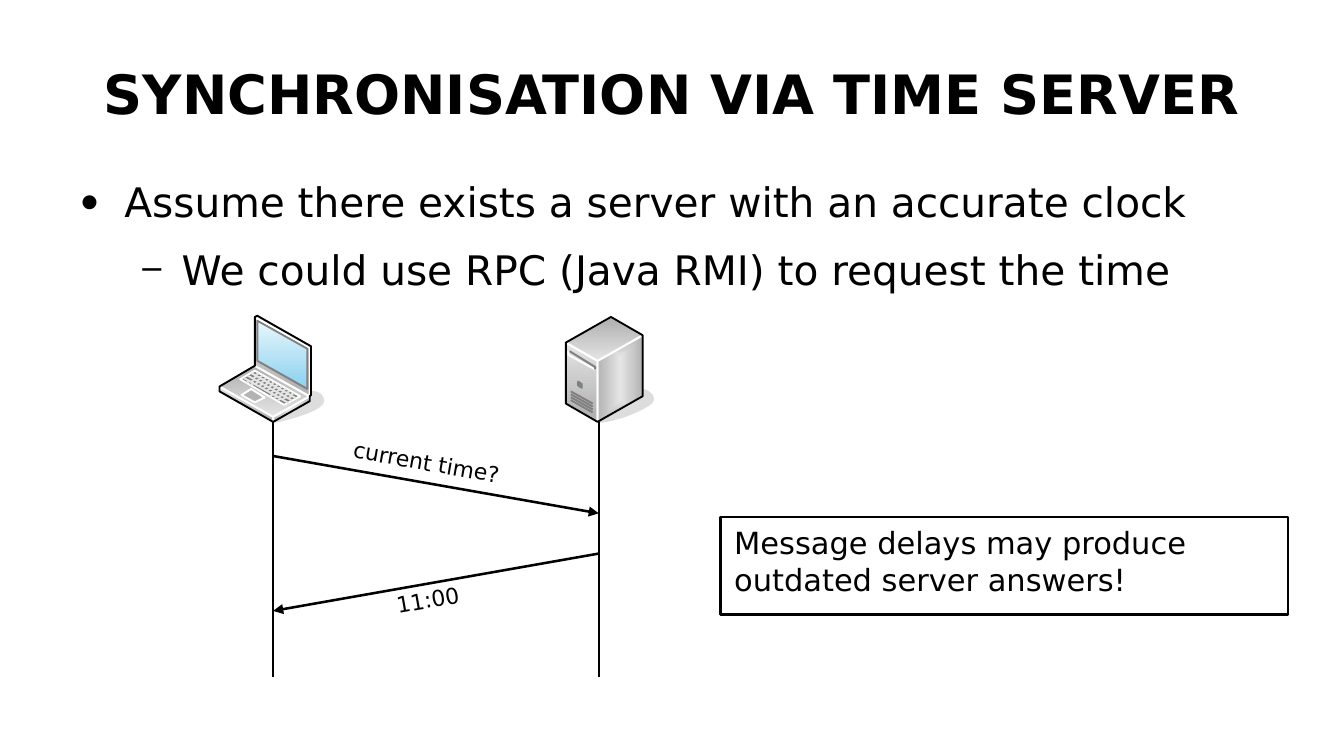
from dataclasses import dataclass

from lxml import etree
from pptx import Presentation
from pptx.dml.color import RGBColor
from pptx.enum.shapes import MSO_CONNECTOR, MSO_SHAPE
from pptx.enum.text import MSO_ANCHOR, MSO_AUTO_SIZE, PP_ALIGN
from pptx.oxml.ns import qn
from pptx.util import Inches, Pt

STRAIGHT = MSO_CONNECTOR.STRAIGHT
RECTANGLE = MSO_SHAPE.RECTANGLE
TOP, MIDDLE = MSO_ANCHOR.TOP, MSO_ANCHOR.MIDDLE
LEFT, CENTER = PP_ALIGN.LEFT, PP_ALIGN.CENTER
FIXED_SIZE = MSO_AUTO_SIZE.NONE
COLUMNS, ROWS = 1102, 620
CELL = Inches(0.01)


@dataclass(frozen=True)
class Theme:
    font: str = "DejaVu Sans"
    title: float = 32
    body: float = 24
    note: float = 18
    label: float = 13
    line: float = 1.5
    detail: float = 1.13
    ink: str = "000000"
    white: str = "FFFFFF"
    shadow: str = "DDDDDD"
    light: str = "E5E5E5"
    metal: str = "B3B3B3"
    grey: str = "808080"
    lamp: str = "39B54A"
    sky: str = "93D4F0"
    pale_sky: str = "E9F6FC"


THEME = Theme()
RISING = (THEME.metal, THEME.light, 90)
FALLING = (THEME.metal, THEME.light, 270)
GLASS = (THEME.sky, THEME.pale_sky, 90)
GLOW = (THEME.light, THEME.metal, None)


@dataclass(frozen=True)
class Box:
    left: float
    top: float
    width: float
    height: float

    def point(self, x, y):
        return round((self.left + x) * CELL), round((self.top + y) * CELL)

    def inner(self, x, y, width, height):
        return Box(self.left + x, self.top + y, width, height)

    def frame(self):
        return (*self.point(0, 0), round(self.width * CELL), round(self.height * CELL))


def color(value):
    return RGBColor.from_string(value)


def place(shape, box):
    shape.left, shape.top, shape.width, shape.height = box.frame()


def add_run(paragraph, text, size, bold=False):
    run = paragraph.add_run()
    run.text = text
    run.font.name = THEME.font
    run.font.size = Pt(size)
    run.font.bold = bold
    run.font.color.rgb = color(THEME.ink)


def set_frame(frame, anchor=TOP, horizontal=0, vertical=0):
    frame.word_wrap = True
    frame.auto_size = FIXED_SIZE
    frame.vertical_anchor = anchor
    frame.margin_left = frame.margin_right = Inches(horizontal)
    frame.margin_top = frame.margin_bottom = Inches(vertical)


def paint(fill, paint_value):
    if paint_value is None:
        fill.background()
    elif isinstance(paint_value, str):
        fill.solid()
        fill.fore_color.rgb = color(paint_value)
    else:
        first, last, angle = paint_value
        fill.gradient()
        start, end = fill.gradient_stops
        start.color.rgb, end.color.rgb = color(first), color(last)
        start.position, end.position = (0 if angle is None else 0.1), 1
        if angle is not None:
            fill.gradient_angle = angle


def make_radial(shape):
    linear = shape._element.spPr.find(".//" + qn("a:lin"))
    radial = etree.Element(qn("a:path"), {"path": "rect"})
    sides = dict.fromkeys("ltrb", "30000")
    etree.SubElement(radial, qn("a:fillToRect"), sides)
    linear.getparent().replace(linear, radial)


def add_outline(shapes, box, points, fill=None, line=THEME.white, close=True):
    start, *others = [box.point(*point) for point in points]
    builder = shapes.build_freeform(*start)
    builder.add_line_segments(others, close=close)
    shape = builder.convert_to_shape()
    shape.shadow.inherit = False
    paint(shape.fill, fill)
    if fill == GLOW:
        make_radial(shape)
    shape.line.color.rgb = color(line)
    shape.line.width = Pt(THEME.detail)


def add_line(shapes, box, start, end, line=THEME.ink, width=THEME.line, arrow=False):
    connector = shapes.add_connector(STRAIGHT, *box.point(*start), *box.point(*end))
    connector.line.color.rgb = color(line)
    connector.line.width = Pt(width)
    if arrow:
        etree.SubElement(connector.line._get_or_add_ln(), qn("a:tailEnd"), type="triangle")
    etree.SubElement(connector._element.spPr, qn("a:effectLst"))


def curve(a, b, c, d, steps=10):
    shares = [step / steps for step in range(steps + 1)]
    return [
        tuple((1 - t) ** 3 * p + 3 * (1 - t) ** 2 * t * q + 3 * (1 - t) * t * t * r + t ** 3 * s
              for p, q, r, s in zip(a, b, c, d))
        for t in shares
    ]


def draw_laptop(slide, box):
    shapes = slide.shapes.add_group_shape().shapes
    shadow = (curve((44, 87), (48, 87), (85, 78), (85, 70))
              + curve((85, 70), (85, 62), (75, 62), (70, 62))
              + curve((70, 62), (70, 65), (42, 68), (44, 87)))
    add_outline(shapes, box, shadow, THEME.shadow, THEME.shadow)
    for points, fill, line in (
        ([(44, 83), (0, 58), (29, 41), (74, 66)], FALLING, THEME.white),
        ([(17, 52), (29, 45), (66, 66), (53, 73)], THEME.grey, THEME.white),
        ([(29, 41), (29, 1), (74, 26), (74, 66)], RISING, THEME.white),
        ([(31, 37), (31, 4), (72, 27), (72, 60)], GLASS, THEME.grey),
        ([(74, 26), (29, 1), (31, 0), (75, 25)], FALLING, THEME.white),
        ([(74, 66), (74, 26), (75, 25), (75, 65)], GLOW, THEME.white),
        ([(44, 87), (44, 83), (74, 66), (74, 70)], GLOW, THEME.white),
        ([(0, 62), (0, 58), (44, 83), (44, 87)], RISING, THEME.white),
        ([(18, 65), (26, 60), (37, 67), (29, 71)], THEME.metal, THEME.white),
    ):
        add_outline(shapes, box, points, fill, line)
    for x, y in ((20, 51), (23, 49), (26, 47)):
        add_line(shapes, box, (x, y), (x + 36.5, y + 20.5), THEME.light, THEME.detail)
    key_rows = ((29, 49, range(10)), (28, 51, range(10)),
                (26, 54, range(9)), (22, 55, (0, 1, 6, 7, 8)))
    for left, top, keys in key_rows:
        for key in keys:
            x, y = left + 3.2 * key, top + 1.8 * key
            add_line(shapes, box, (x, y), (x + 3.2, y - 1.8), THEME.light, THEME.detail)
    silhouette = [(31, 0), (75, 25), (75, 65), (74, 66), (74, 70),
                  (44, 87), (0, 62), (0, 58), (29, 41), (29, 1)]
    add_outline(shapes, box, silhouette, line=THEME.ink)


def draw_server(slide, box):
    shapes = slide.shapes.add_group_shape().shapes
    shadow = (curve((26, 86), (39, 86), (59, 78), (68, 72))
              + curve((68, 72), (76, 67), (68, 60), (63, 60)))
    add_outline(shapes, box, shadow, THEME.shadow, THEME.shadow)
    for points, fill, line in (
        ([(0, 71), (0, 21), (26, 36), (26, 86)], RISING, THEME.white),
        ([(26, 86), (26, 36), (63, 15), (63, 65)], GLOW, THEME.white),
        ([(26, 36), (0, 21), (37, 0), (63, 15)], FALLING, THEME.white),
        ([(0, 71), (0, 21), (37, 0), (63, 15), (63, 65), (26, 86)], None, THEME.ink),
        ([(10, 56), (10, 53), (13, 55), (13, 58)], THEME.lamp, THEME.grey),
    ):
        add_outline(shapes, box, points, fill, line)
    add_outline(shapes, box, [(24, 43), (2, 31), (2, 28)], line=THEME.white, close=False)
    add_outline(shapes, box, [(24, 43), (24, 41), (3, 28)], line=THEME.grey, close=False)
    for vent in range(4):
        y = 71 + 2.4 * vent
        add_line(shapes, box, (22, y), (4, y - 10), THEME.grey, THEME.detail)


def add_label(slide, box, text, rotation):
    label = slide.shapes.add_textbox(*box.frame())
    label.rotation = rotation
    set_frame(label.text_frame, TOP, 0.1, 0.05)
    add_run(label.text_frame.paragraphs[0], text, THEME.label)


def draw_exchange(slide, box):
    draw_laptop(slide, box.inner(0, 0, 85, 87))
    draw_server(slide, box.inner(284, 1, 71, 86))
    client, server = 44, 311
    for x in (client, server):
        add_line(slide.shapes, box, (x, box.height), (x, 87))
    add_line(slide.shapes, box, (client, 115), (server, 162), arrow=True)
    add_line(slide.shapes, box, (server, 195), (client, 242), arrow=True)
    add_label(slide, box.inner(99, 107, 173, 34), "current time?", 10)
    add_label(slide, box.inner(135, 215, 94, 34), "11:00", 350)


def fill_title(slide, box):
    title = slide.shapes.title
    place(title, box)
    set_frame(title.text_frame, MIDDLE)
    paragraph = title.text_frame.paragraphs[0]
    paragraph.alignment = CENTER
    add_run(paragraph, "SYNCHRONISATION VIA TIME SERVER", THEME.title, True)


def fill_body(slide, box):
    body = slide.placeholders[1]
    place(body, box)
    frame = body.text_frame
    set_frame(frame)
    items = (("Assume there exists a server with an accurate clock", 14, "●", 45),
             ("We could use RPC (Java RMI) to request the time", 11.1, "−", 75))
    for level, (text, space, bullet, percent) in enumerate(items):
        paragraph = frame.add_paragraph() if level else frame.paragraphs[0]
        paragraph.level = level
        paragraph.space_before = Pt(space)
        properties = paragraph._p.get_or_add_pPr()
        properties.set("marL", str(Inches(0.47 * (level + 1))))
        properties.set("indent", str(Inches(-0.35)))
        bullet_color = etree.SubElement(properties, qn("a:buClr"))
        etree.SubElement(bullet_color, qn("a:srgbClr"), val=THEME.ink)
        etree.SubElement(properties, qn("a:buSzPct"), val=str(percent * 1000))
        etree.SubElement(properties, qn("a:buFont"), typeface=THEME.font)
        etree.SubElement(properties, qn("a:buChar"), char=bullet)
        add_run(paragraph, text, THEME.body)


def draw_note(slide, box):
    note = slide.shapes.add_shape(RECTANGLE, *box.frame())
    note.shadow.inherit = False
    note.fill.background()
    note.line.color.rgb = color(THEME.ink)
    note.line.width = Pt(THEME.line)
    set_frame(note.text_frame, TOP, 0.11, 0.06)
    paragraph = note.text_frame.paragraphs[0]
    paragraph.alignment = LEFT
    add_run(paragraph, "Message delays may produce outdated server answers!", THEME.note)


def main():
    presentation = Presentation()
    presentation.slide_width, presentation.slide_height = COLUMNS * CELL, ROWS * CELL
    slide = presentation.slides.add_slide(presentation.slide_layouts[1])
    fill_title(slide, Box(55, 25, 992, 103))
    fill_body(slide, Box(55, 145, 992, 360))
    draw_exchange(slide, Box(180, 259, 355, 296))
    draw_note(slide, Box(591, 424, 465, 80))
    presentation.save("out.pptx")


if __name__ == "__main__":
    main()
